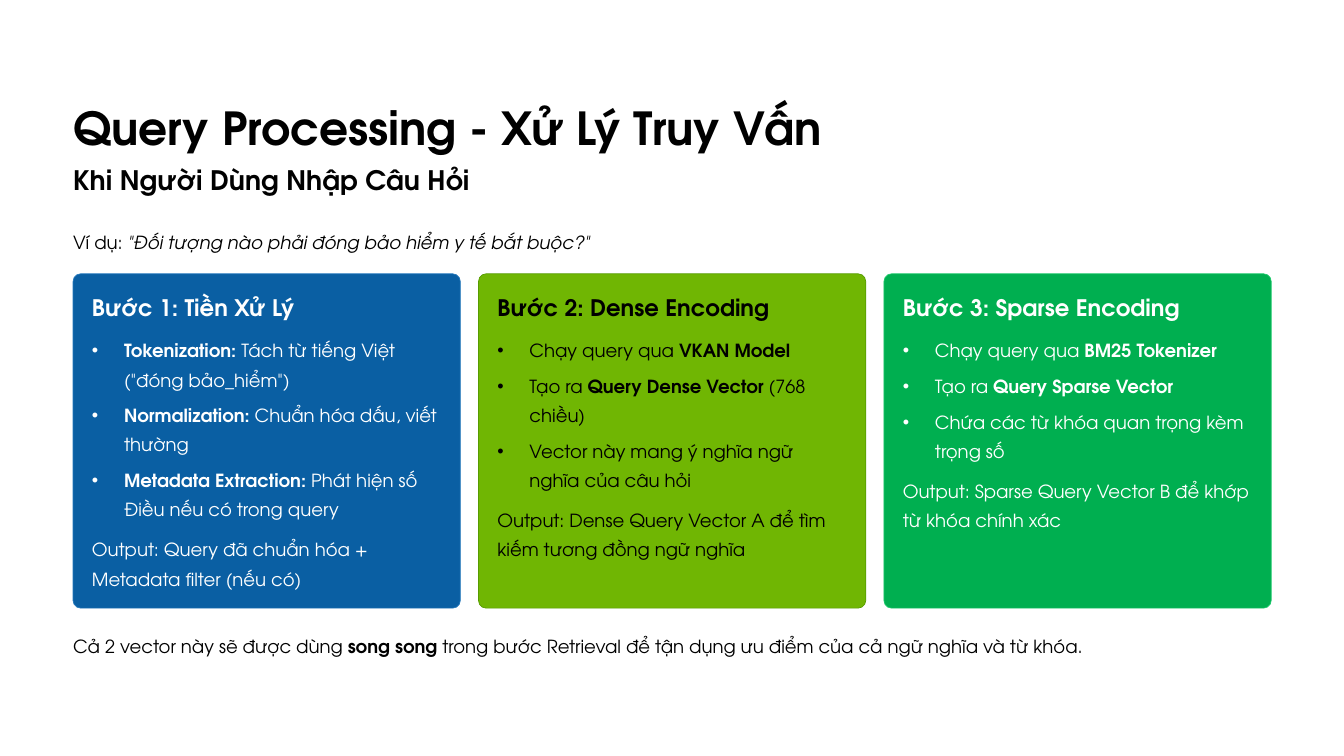
from dataclasses import dataclass
from typing import NamedTuple

from lxml.etree import SubElement
from pptx import Presentation
from pptx.dml.color import RGBColor
from pptx.enum.shapes import MSO_SHAPE as Kind
from pptx.enum.text import MSO_ANCHOR as Anchor, MSO_AUTO_SIZE as Fit, PP_ALIGN as Align
from pptx.oxml.ns import qn
from pptx.util import Cm, Pt

FONT = "TeX Gyre Adventor"
BLACK = RGBColor(0x00, 0x00, 0x00)
WHITE = RGBColor(0xFF, 0xFF, 0xFF)
BLUE = RGBColor(0x0A, 0x5F, 0xA3)
SKY = RGBColor(0x23, 0x78, 0xBC)
LIME = RGBColor(0x70, 0xB6, 0x03)
MOSS = RGBColor(0x56, 0x9C, 0x00)
GREEN = RGBColor(0x00, 0xAF, 0x50)
MINT = RGBColor(0x19, 0xC8, 0x69)

# Grid, in centimetres
LEFT, WIDE = 2.21, 36.22
TOP, CARD_W, CARD_H, STEP = 8.28, 11.71, 10.11, 12.26
PAD = 0.57
INDENT = 0.97


class Part(NamedTuple):
    text: str
    bold: bool = False
    slant: bool = False


class Style(NamedTuple):
    size: float
    line: float
    before: float = 0
    bullet: bool = False


TITLE = Style(39, 48.5)
SUB = Style(23, 29)
NOTE = Style(15.5, 25)
HEAD = Style(19.5, 24)
FIRST = Style(15.5, 25, 10, True)
ITEM = Style(15.5, 25, 5.5, True)
OUTPUT = Style(15.5, 25, 9.5)


@dataclass
class Card:
    slot: int
    fill: RGBColor
    edge: RGBColor
    ink: RGBColor
    head: str
    items: list[list[Part]]
    output: str


CARDS = [
    Card(2, BLUE, SKY, WHITE, "Bước 1: Tiền Xử Lý", [
        [Part("Tokenization:", True), Part(" Tách từ tiếng Việt (\"đóng bảo_hiểm\")")],
        [Part("Normalization:", True), Part(" Chuẩn hóa dấu, viết thường")],
        [Part("Metadata Extraction:", True), Part(" Phát hiện số Điều nếu có trong query")],
    ], "Output: Query đã chuẩn hóa + Metadata filter (nếu có)"),
    Card(3, LIME, MOSS, BLACK, "Bước 2: Dense Encoding", [
        [Part("Chạy query qua "), Part("VKAN Model", True)],
        [Part("Tạo ra "), Part("Query Dense Vector", True), Part(" (768 chiều)")],
        [Part("Vector này mang ý nghĩa ngữ nghĩa của câu hỏi")],
    ], "Output: Dense Query Vector A để tìm kiếm tương đồng ngữ nghĩa"),
    Card(4, GREEN, MINT, WHITE, "Bước 3: Sparse Encoding", [
        [Part("Chạy query qua "), Part("BM25 Tokenizer", True)],
        [Part("Tạo ra "), Part("Query Sparse Vector", True)],
        [Part("Chứa các từ khóa quan trọng kèm trọng số")],
    ], "Output: Sparse Query Vector B để khớp từ khóa chính xác"),
]


def place(shape, left: float, top: float, width: float, height: float) -> None:
    shape.left, shape.top = Cm(left), Cm(top)
    shape.width, shape.height = Cm(width), Cm(height)
    frame = shape.text_frame
    frame.word_wrap = True
    frame.auto_size = Fit.NONE
    frame.vertical_anchor = Anchor.TOP
    frame.margin_left = frame.margin_right = 0
    frame.margin_top = frame.margin_bottom = 0


def write(para, parts: list[Part], style: Style, ink: RGBColor) -> None:
    para.alignment = Align.LEFT
    para.line_spacing = Pt(style.line)
    para.space_before, para.space_after = Pt(style.before), Pt(0)
    # Bullet and hanging indent
    props = para._p.get_or_add_pPr()
    indent = Cm(INDENT) if style.bullet else 0
    props.set("marL", str(indent))
    props.set("indent", str(-indent))
    if style.bullet:
        SubElement(props, qn("a:buChar")).set("char", "•")
    else:
        SubElement(props, qn("a:buNone"))
    for part in parts:
        run = para.add_run()
        run.text = part.text
        font = run.font
        font.name, font.size = FONT, Pt(style.size)
        font.bold, font.italic = part.bold, part.slant
        font.color.rgb = ink


def add_note(slide, top: float, parts: list[Part]) -> None:
    box = slide.shapes.add_textbox(0, 0, 0, 0)
    place(box, LEFT, top, WIDE, 0.89)
    write(box.text_frame.paragraphs[0], parts, NOTE, BLACK)


def add_card(slide, card: Card, left: float) -> None:
    panel = slide.shapes.add_shape(
        Kind.ROUNDED_RECTANGLE, Cm(left), Cm(TOP), Cm(CARD_W), Cm(CARD_H))
    panel.adjustments[0] = 0.023
    panel.shadow.inherit = False
    panel.fill.solid()
    panel.fill.fore_color.rgb = card.fill
    panel.line.color.rgb = card.edge
    panel.line.width = Pt(0.6)

    # The list sits in front of its panel
    body = slide.placeholders[card.slot]
    body.element.addprevious(panel.element)
    place(body, left + PAD, TOP + PAD, CARD_W - 2 * PAD, CARD_H - 2 * PAD)
    frame = body.text_frame
    write(frame.paragraphs[0], [Part(card.head, True)], HEAD, card.ink)
    for i, parts in enumerate(card.items):
        write(frame.add_paragraph(), parts, ITEM if i else FIRST, card.ink)
    write(frame.add_paragraph(), [Part(card.output)], OUTPUT, card.ink)


def main() -> None:
    deck = Presentation()
    deck.slide_width, deck.slide_height = Cm(40.64), Cm(22.86)
    slide = deck.slides.add_slide(deck.slide_layouts.get_by_name("Comparison"))

    # Title and subtitle
    title, sub = slide.shapes.title, slide.placeholders[1]
    place(title, LEFT, 2.97, WIDE, 1.73)
    write(title.text_frame.paragraphs[0],
          [Part("Query Processing - Xử Lý Truy Vấn", True)], TITLE, BLACK)
    place(sub, LEFT, 4.9, WIDE, 1.04)
    write(sub.text_frame.paragraphs[0],
          [Part("Khi Người Dùng Nhập Câu Hỏi", True)], SUB, BLACK)

    # Example, steps and closing remark
    add_note(slide, 6.78, [
        Part("Ví dụ: "),
        Part("\"Đối tượng nào phải đóng bảo hiểm y tế bắt buộc?\"", slant=True)])
    for i, card in enumerate(CARDS):
        add_card(slide, card, LEFT + i * STEP)
    add_note(slide, 19, [
        Part("Cả 2 vector này sẽ được dùng "),
        Part("song song", True),
        Part(" trong bước Retrieval để tận dụng ưu điểm của cả ngữ nghĩa và từ khóa.")])

    deck.save("out.pptx")


if __name__ == "__main__":
    main()
